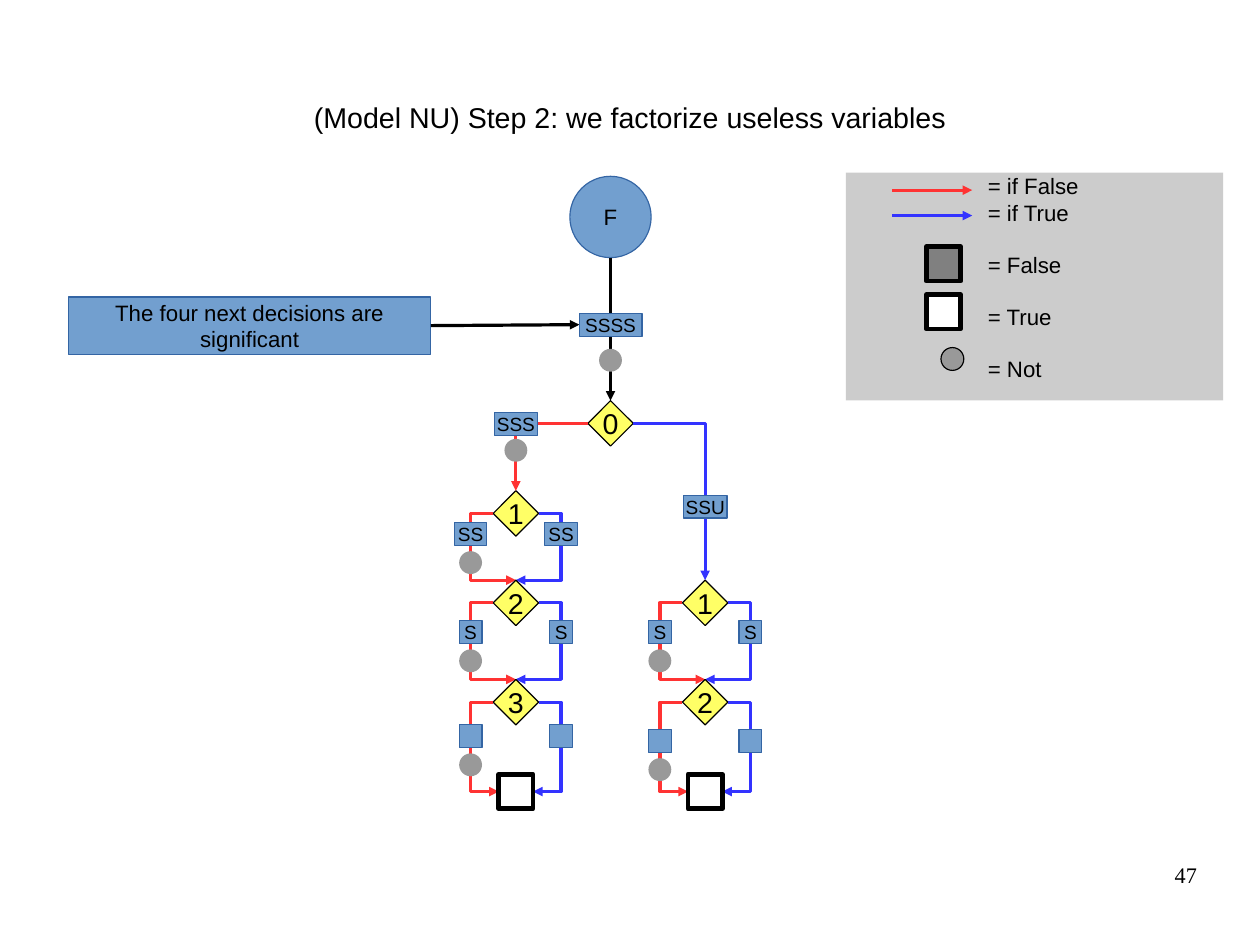
from lxml import etree
from pptx import Presentation
from pptx.dml.color import RGBColor
from pptx.enum import shapes, text
from pptx.oxml import ns
from pptx.util import Pt

BLACK = RGBColor(0, 0, 0)
WHITE = RGBColor(255, 255, 255)
BLUE_FILL = RGBColor(0x72, 0x9F, 0xCF)
BLUE_EDGE = RGBColor(0x34, 0x65, 0xA4)
YELLOW = RGBColor(0xFF, 0xFF, 0x66)
DOT_GRAY = RGBColor(0x99, 0x99, 0x99)
FALSE_GRAY = RGBColor(0x80, 0x80, 0x80)
PANEL_GRAY = RGBColor(0xCC, 0xCC, 0xCC)
IF_FALSE = RGBColor(0xFF, 0x33, 0x33)
IF_TRUE = RGBColor(0x33, 0x33, 0xFF)

KIND = shapes.MSO_SHAPE
ALIGN = text.PP_ALIGN
ANCHOR = text.MSO_ANCHOR

DIAMOND = 28.6
BADGE = 14.4
LEAF = 21.6
ARM = 28.5  # distance from a node's centre to its side branches
BADGE_WIDTHS = {0: BADGE, 1: BADGE, 2: 20.4, 3: 27.4, 4: 39.6}


def write(shape, lines, size=14, font="Arial", align=ALIGN.CENTER,
          anchor=ANCHOR.MIDDLE, wrap=False, indent=0, gaps=()):
    frame = shape.text_frame
    frame.word_wrap = wrap
    frame.vertical_anchor = anchor
    frame.margin_left = Pt(indent)
    frame.margin_top = frame.margin_right = frame.margin_bottom = 0
    for index, line in enumerate(lines):
        paragraph = frame.add_paragraph() if index else frame.paragraphs[0]
        paragraph.text = line
        paragraph.alignment = align
        if index in gaps:
            paragraph.space_before = Pt(16)
        paragraph.font.size = Pt(size)
        paragraph.font.name = font
        paragraph.font.color.rgb = BLACK


def add_node(slide, kind, x, y, width, height, fill, edge=None, weight=0):
    """Place a shape centred on x, y."""
    shape = slide.shapes.add_shape(
        kind, Pt(x - width / 2), Pt(y - height / 2), Pt(width), Pt(height))
    shape.shadow.inherit = False
    shape.fill.solid()
    shape.fill.fore_color.rgb = fill
    if edge is None:
        shape.line.fill.background()
    else:
        shape.line.color.rgb = edge
        shape.line.width = Pt(weight)
    return shape


def add_diamond(slide, x, y, number):
    diamond = add_node(slide, KIND.DIAMOND, x, y, DIAMOND, DIAMOND, YELLOW, BLACK)
    write(diamond, [number], size=18)
    return diamond


def add_badge(slide, x, y, label):
    width = BADGE_WIDTHS[len(label)]
    badge = add_node(slide, KIND.RECTANGLE, x, y, width, BADGE, BLUE_FILL, BLUE_EDGE)
    if label:
        write(badge, [label], size=12)


def add_dot(slide, x, y, edge=None):
    add_node(slide, KIND.OVAL, x, y, BADGE, BADGE, DOT_GRAY, edge)


def add_leaf(slide, x, y, fill=WHITE):
    add_node(slide, KIND.RECTANGLE, x, y, LEAF, LEAF, fill, BLACK, 3)


def add_arrow(slide, start, end, color, kind=shapes.MSO_CONNECTOR.STRAIGHT):
    arrow = slide.shapes.add_connector(kind, *map(Pt, start + end))
    arrow.line.color.rgb = color
    arrow.line.width = Pt(0)
    etree.SubElement(arrow.line._get_or_add_ln(), ns.qn("a:tailEnd"), type="triangle")
    etree.SubElement(arrow._element.spPr, ns.qn("a:effectLst"))
    return arrow


def add_side_arrow(slide, start, end, bend_x, color):
    """Arrow that leaves sideways to bend_x, goes down and comes back."""
    arrow = add_arrow(slide, start, end, color, shapes.MSO_CONNECTOR.ELBOW)
    ratio = (bend_x - start[0]) / (end[0] - start[0])
    values = arrow._element.spPr.prstGeom.get_or_add_avLst()
    etree.SubElement(values, ns.qn("a:gd"), name="adj1",
                     fmla=f"val {round(ratio * 100000)}")


def add_corner_arrow(slide, source, source_site, target, color):
    """Arrow with one corner, from the side of a node to the top of another."""
    arrow = add_arrow(slide, (0, 0), (1, 1), color, shapes.MSO_CONNECTOR.ELBOW)
    arrow.begin_connect(source, source_site)
    arrow.end_connect(target, 0)
    arrow._element.spPr.prstGeom.set("prst", "bentConnector2")


def draw_chain(slide, x, top, stages):
    """Stages are (number, label, drop to the badges, drop to the next node)."""
    y = top
    first = None
    for index, (number, label, badge_drop, drop) in enumerate(stages):
        diamond = add_diamond(slide, x, y, number)
        first = first or diamond
        is_last = index == len(stages) - 1
        for side, color in ((-1, IF_FALSE), (1, IF_TRUE)):
            start = (x + side * DIAMOND / 2, y)
            if is_last:
                end = (x + side * LEAF / 2, y + drop)
            else:
                end = (x, y + drop - DIAMOND / 2)
            add_side_arrow(slide, start, end, x + side * ARM, color)
            add_badge(slide, x + side * ARM, y + badge_drop, label)
        add_dot(slide, x - ARM, y + badge_drop + 18)
        y += drop
    add_leaf(slide, x, y)
    return first


def draw_tree(slide, x, top):
    # Function node and root decision
    circle = add_node(slide, KIND.OVAL, x, top + 25.6, 51.2, 51.2, BLUE_FILL, BLUE_EDGE)
    write(circle, ["F"])
    root_y = top + 155.5
    add_arrow(slide, (x, top + 51.2), (x, root_y - DIAMOND / 2), BLACK)
    root = add_diamond(slide, x, root_y, "0")
    add_badge(slide, x, top + 93.6, "SSSS")
    add_dot(slide, x, top + 115.8)

    # False branch on the left, true branch on the right
    left, right = x - 59.6, x + 59.6
    false_node = draw_chain(slide, left, root_y + 56.7, [
        ("1", "SS", 13, 56.3), ("2", "S", 18.5, 62.5), ("3", "", 21.5, 56.3)])
    true_node = draw_chain(slide, right, root_y + 113, [
        ("1", "S", 18.5, 62.5), ("2", "", 24.5, 56.3)])
    add_corner_arrow(slide, root, 1, false_node, IF_FALSE)
    add_corner_arrow(slide, root, 3, true_node, IF_TRUE)
    add_badge(slide, left, root_y + 0.6, "SSS")
    add_dot(slide, left, root_y + 17)
    add_badge(slide, right, root_y + 52.4, "SSU")


def draw_note(slide, left, top, width, height):
    middle = top + height / 2
    note = add_node(slide, KIND.RECTANGLE, left + width / 2, middle,
                    width, height, BLUE_FILL, BLUE_EDGE)
    write(note, ["The four next decisions are", "significant"])
    add_arrow(slide, (left + width, middle), (left + width + 93.5, middle - 0.6), BLACK)


def draw_legend(slide, left, top, width, height):
    panel = add_node(slide, KIND.RECTANGLE, left + width / 2, top + height / 2,
                     width, height, PANEL_GRAY)
    write(panel, ["= if False", "= if True", "= False", "= True", "= Not"],
          align=ALIGN.LEFT, anchor=ANCHOR.TOP, indent=89.3, gaps=(2, 3, 4))
    for drop, color in ((11, IF_FALSE), (27, IF_TRUE)):
        add_arrow(slide, (left + 29, top + drop), (left + 79.5, top + drop), color)
    add_leaf(slide, left + 61.4, top + 57.5, FALSE_GRAY)
    add_leaf(slide, left + 61.4, top + 87.6)
    add_dot(slide, left + 67, top + 117.3, BLACK)


def draw_text(slide, left, top, width, height, words, **style):
    box = slide.shapes.add_textbox(Pt(left), Pt(top), Pt(width), Pt(height))
    write(box, [words], wrap=True, **style)


def main():
    presentation = Presentation()
    presentation.slide_width = Pt(793.5)
    presentation.slide_height = Pt(595.5)
    slide = presentation.slides.add_slide(presentation.slide_layouts[6])

    draw_note(slide, 43, 187, 228.4, 36)
    draw_tree(slide, 384.5, 111)
    draw_text(slide, 39.6, 23.8, 714.2, 99.4,
              "(Model NU) Step 2: we factorize useless variables", size=18)
    draw_legend(slide, 532.8, 108.7, 237.6, 143.3)
    draw_text(slide, 568.8, 542.2, 185, 41, "47", font="Times New Roman",
              align=ALIGN.RIGHT, anchor=ANCHOR.TOP)
    presentation.save("out.pptx")


if __name__ == "__main__":
    main()
